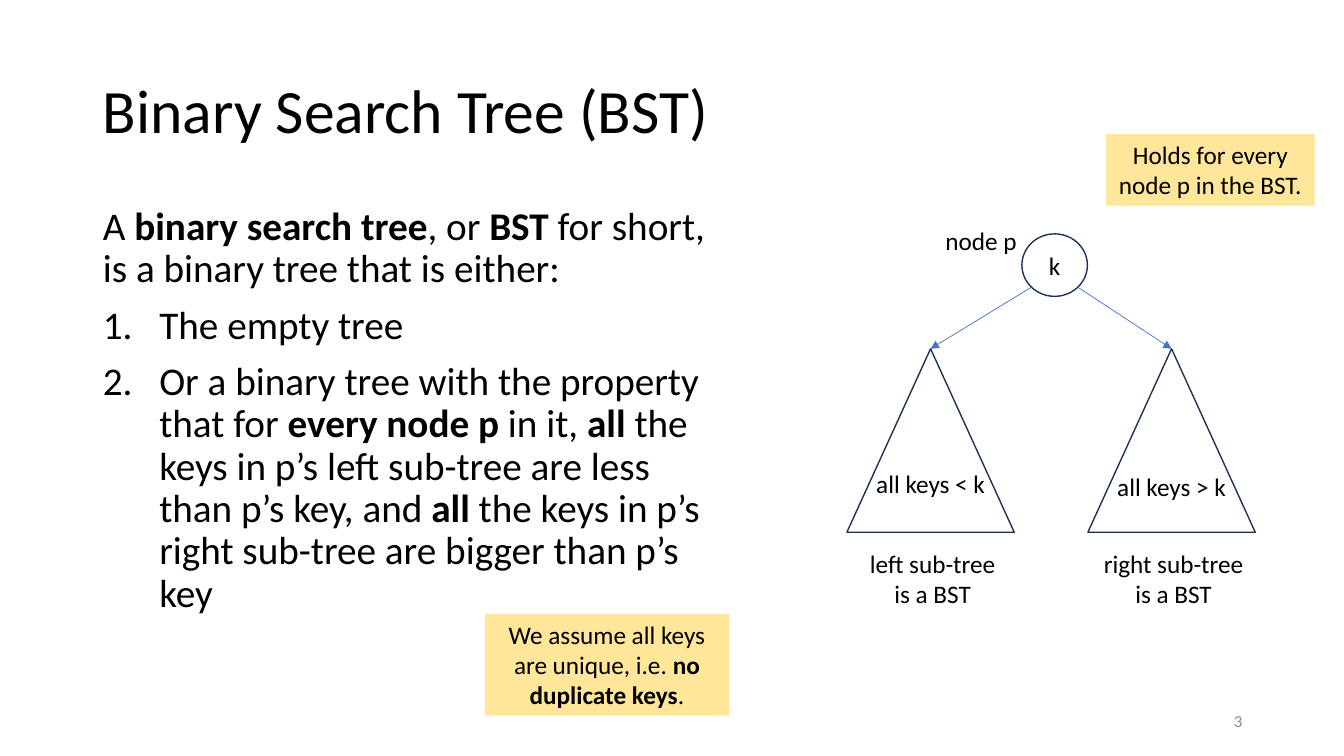
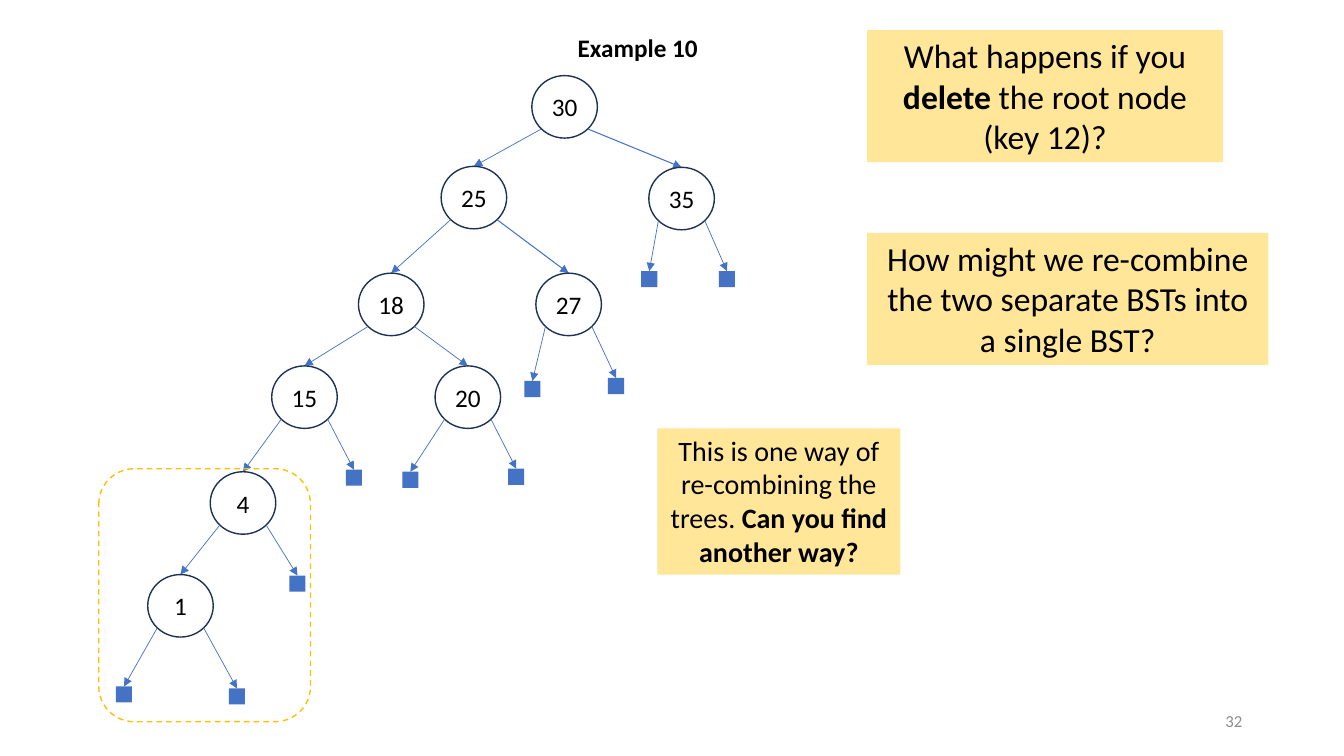
import pptx
import pptx.util
from lxml import etree
from pptx.dml.color import RGBColor
from pptx.enum.dml import MSO_LINE
from pptx.enum.shapes import MSO_CONNECTOR, MSO_SHAPE
from pptx.enum.text import MSO_ANCHOR, MSO_AUTO_SIZE, PP_ALIGN
from pptx.oxml.ns import qn

In, Pt = pptx.util.Inches, pptx.util.Pt

FONT = "Calibri"
BLACK = RGBColor(0x00, 0x00, 0x00)
GREY = RGBColor(0x8C, 0x8C, 0x8C)
NAVY = RGBColor(0x1E, 0x32, 0x56)
BLUE = RGBColor(0x44, 0x72, 0xC4)
SAND = RGBColor(0xFF, 0xE6, 0x99)
GOLD = RGBColor(0xFF, 0xC0, 0x00)

NODE_W, NODE_H = 0.65, 0.62
LEAF = 0.16
DIAGONAL = 0.5 ** 0.5
SUBTREE_W, SUBTREE_H, SUBTREE_TOP = 1.66, 1.82, 3.46

# Text between ** marks is bold.
TITLE = "Binary Search Tree (BST)"
INTRO = "A **binary search tree**, or **BST** for short, is a binary tree that is either:"
CASES = [
    "The empty tree",
    "Or a binary tree with the property that for **every node p** in it, **all** the keys "
    "in p’s left sub-tree are less than p’s key, and **all** the keys in p’s right "
    "sub-tree are bigger than p’s key",
]
ROOT_P = ("k", 10.46, 2.32)
# centre x, key label, key label top, caption
SUBTREES = [
    (9.23, "all keys < k", 4.6, ["left sub-tree", "is a BST"]),
    (11.62, "all keys > k", 4.63, ["right sub-tree", "is a BST"]),
]
# text, size, (left, top, width, height)
DEFINITION_NOTES = [
    ("We assume all keys are unique, i.e. **no duplicate keys**.", 18, (4.81, 6.09, 2.42, 1.01)),
    ("Holds for every node p in the BST.", 18, (10.97, 1.33, 2.07, 0.71)),
]
EXAMPLE_NOTES = [
    ("What happens if you **delete** the root node (key 12)?", 24, (8.6, 0.3, 3.53, 1.31)),
    ("How might we re-combine the two separate BSTs into a single BST?", 24,
     (8.6, 2.31, 3.98, 1.31)),
    ("This is one way of re-combining the trees. **Can you find another way?**", 20,
     (6.52, 4.25, 2.41, 1.45)),
]
# node: key, centre x, top, left child, right child; leaf: centre x, top
TREE = (
    "30", 5.6, 0.75,
    ("25", 4.7, 1.65,
     ("18", 3.88, 2.71,
      ("15", 3.02, 3.63,
       ("4", 2.41, 4.68,
        ("1", 1.79, 5.7, (1.23, 6.81), (2.35, 6.83)),
        (2.95, 5.71)),
       (3.51, 4.66)),
      ("20", 4.64, 3.63, (4.07, 4.68), (5.12, 4.65))),
     ("27", 5.64, 2.71, (5.28, 3.78), (6.11, 3.75))),
    ("35", 6.76, 1.66, (6.44, 2.69), (7.21, 2.69)),
)
HEAVY_EDGES = {"27", "35"}
MOVED_SUBTREE = (0.98, 4.65, 2.1, 2.51)


def assign(obj, formats):
    for name, value in formats.items():
        setattr(obj, name, value)


def place(shape, left, top, width, height):
    assign(shape, dict(left=In(left), top=In(top), width=In(width), height=In(height)))


def write(p, text, size, color=BLACK, bold=False):
    for i, part in enumerate(text.split("**")):
        if part:
            r = p.add_run()
            r.text = part
            assign(r.font, dict(name=FONT, size=Pt(size), bold=bold or i % 2 == 1))
            r.font.color.rgb = color


def add_text(s, lines, box, size=18, align=PP_ALIGN.CENTER, color=BLACK):
    tf = s.shapes.add_textbox(*map(In, box)).text_frame
    assign(tf, dict(word_wrap=False, vertical_anchor=MSO_ANCHOR.MIDDLE))
    for i, line in enumerate(lines):
        p = tf.add_paragraph() if i else tf.paragraphs[0]
        p.alignment = align
        write(p, line, size, color)


def add_outline(s, kind, box, fill=None, line=None):
    sp = s.shapes.add_shape(kind, *map(In, box))
    sp.shadow.inherit = False
    if fill is None:
        sp.fill.background()
    else:
        sp.fill.solid()
        sp.fill.fore_color.rgb = fill
    if line is None:
        sp.line.fill.background()
    else:
        sp.line.color.rgb = line
        sp.line.width = Pt(1)
    return sp


def add_notes(s, notes):
    for text, size, box in notes:
        tf = add_outline(s, MSO_SHAPE.RECTANGLE, box, fill=SAND).text_frame
        assign(tf, dict(word_wrap=True, vertical_anchor=MSO_ANCHOR.TOP))
        p = tf.paragraphs[0]
        p.alignment = PP_ALIGN.CENTER
        write(p, text, size)


def add_node(s, key, x, top):
    sp = add_outline(s, MSO_SHAPE.OVAL, (x - NODE_W / 2, top, NODE_W, NODE_H), line=NAVY)
    tf = sp.text_frame
    assign(tf, dict(word_wrap=False, vertical_anchor=MSO_ANCHOR.MIDDLE,
                    margin_left=0, margin_right=0, margin_top=0, margin_bottom=0))
    p = tf.paragraphs[0]
    p.alignment = PP_ALIGN.CENTER
    write(p, key, 18)


def add_edge(s, x, top, side, end, width=0.5):
    """Arrow from the lower left (side -1) or lower right (side 1) of a node."""
    start = (x + side * NODE_W / 2 * DIAGONAL, top + NODE_H / 2 * (1 + DIAGONAL))
    c = s.shapes.add_connector(MSO_CONNECTOR.STRAIGHT, *map(In, start + end))
    c.line.color.rgb = BLUE
    c.line.width = Pt(width)
    etree.SubElement(c.line._get_or_add_ln(), qn("a:tailEnd"), type="triangle")
    etree.SubElement(c._element.spPr, qn("a:effectLst"))


def add_tree(s, tree):
    if len(tree) == 2:
        x, top = tree
        add_outline(s, MSO_SHAPE.RECTANGLE, (x - LEAF / 2, top, LEAF, LEAF), fill=BLUE)
        return
    key, x, top, *children = tree
    add_node(s, key, x, top)
    for side, child in zip((-1, 1), children):
        end = child if len(child) == 2 else child[1:3]
        add_edge(s, x, top, side, end, 0.75 if child[0] in HEAVY_EDGES else 0.5)
        add_tree(s, child)


def set_title(s, text, box, size, **formats):
    title = s.shapes.title
    place(title, *box)
    tf = title.text_frame
    assign(tf, dict(auto_size=MSO_AUTO_SIZE.NONE, vertical_anchor=MSO_ANCHOR.MIDDLE))
    p = tf.paragraphs[0]
    assign(p, dict(alignment=PP_ALIGN.LEFT, line_spacing=0.9))
    write(p, text, size, **formats)


def add_page_number(s, number):
    add_text(s, [number], (9.42, 6.95, 3, 0.4), 12, PP_ALIGN.RIGHT, GREY)


def fill_body(body):
    place(body, 0.92, 2, 6.25, 4.76)
    tf = body.text_frame
    tf.auto_size = MSO_AUTO_SIZE.NONE
    for i, text in enumerate([INTRO] + CASES):
        p = tf.add_paragraph() if i else tf.paragraphs[0]
        assign(p, dict(line_spacing=0.9, space_before=Pt(10 if i else 0)))
        pPr = p._p.get_or_add_pPr()
        indent = In(0.56) if i else 0
        pPr.set("marL", str(indent))
        pPr.set("indent", str(-indent))
        if i:
            etree.SubElement(pPr, qn("a:buFont"), typeface=FONT)
            etree.SubElement(pPr, qn("a:buAutoNum"), type="arabicPeriod")
        else:
            etree.SubElement(pPr, qn("a:buNone"))
        write(p, text, 28)


def build_definition(prs):
    s = prs.slides.add_slide(prs.slide_layouts[1])
    set_title(s, TITLE, (0.92, 0.4, 6.52, 1.45), 44)
    fill_body(s.placeholders[1])
    add_page_number(s, "3")
    add_node(s, *ROOT_P)
    add_text(s, ["node p"], (9.27, 2.19, 0.92, 0.4))
    for side, (x, keys, keys_top, caption) in zip((-1, 1), SUBTREES):
        add_outline(s, MSO_SHAPE.ISOSCELES_TRIANGLE,
                    (x - SUBTREE_W / 2, SUBTREE_TOP, SUBTREE_W, SUBTREE_H), line=NAVY)
        add_edge(s, *ROOT_P[1:], side, (x, SUBTREE_TOP))
        add_text(s, [keys], (x - 0.66, keys_top, 1.32, 0.4))
        add_text(s, caption, (x - 0.78, 5.38, 1.6, 0.71))
    add_notes(s, DEFINITION_NOTES)


def build_example(prs):
    s = prs.slides.add_slide(prs.slide_layouts[5])
    set_title(s, "Example 10", (5.63, 0.29, 1.6, 0.4), 18, bold=True)
    add_page_number(s, "32")
    add_tree(s, TREE)
    frame = add_outline(s, MSO_SHAPE.ROUNDED_RECTANGLE, MOVED_SUBTREE, line=GOLD)
    frame.line.dash_style = MSO_LINE.DASH
    add_notes(s, EXAMPLE_NOTES)


def main():
    prs = pptx.Presentation()
    assign(prs, dict(slide_width=In(13.33), slide_height=In(7.5)))
    build_definition(prs)
    build_example(prs)
    prs.save("out.pptx")


if __name__ == "__main__":
    main()
